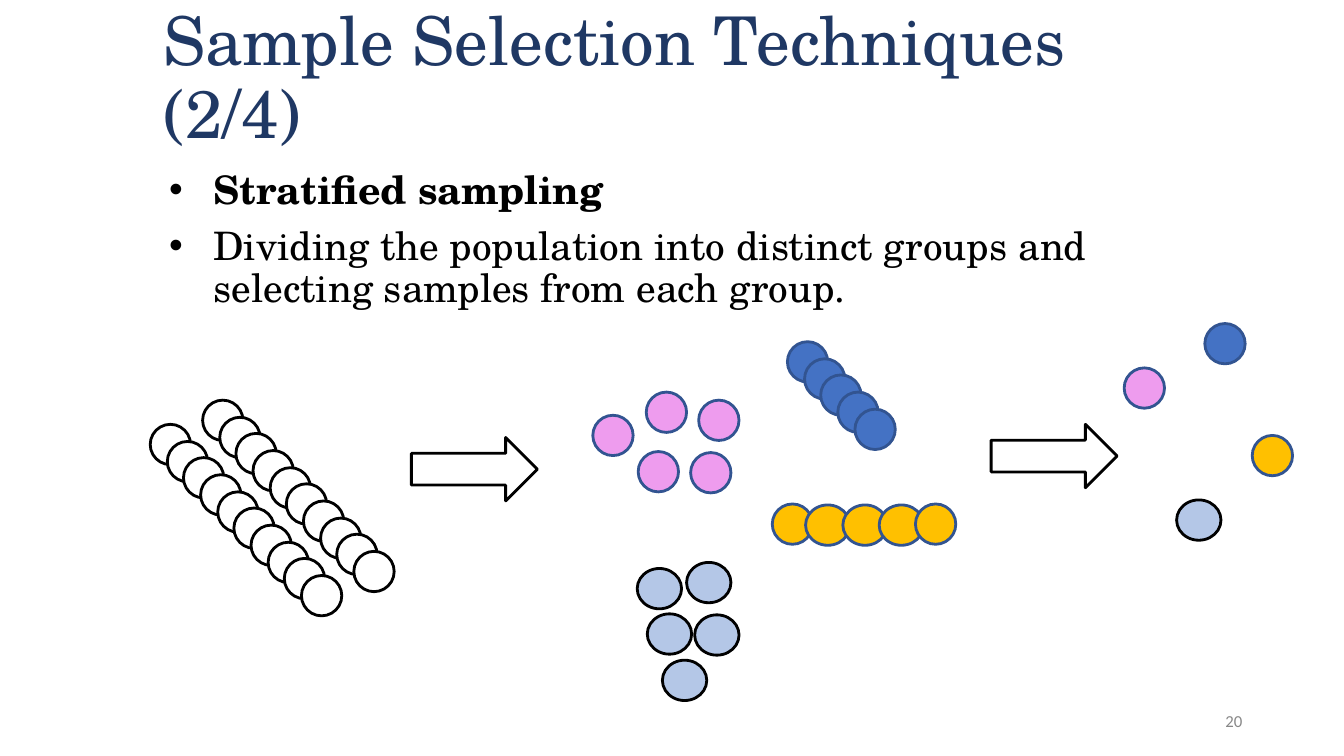
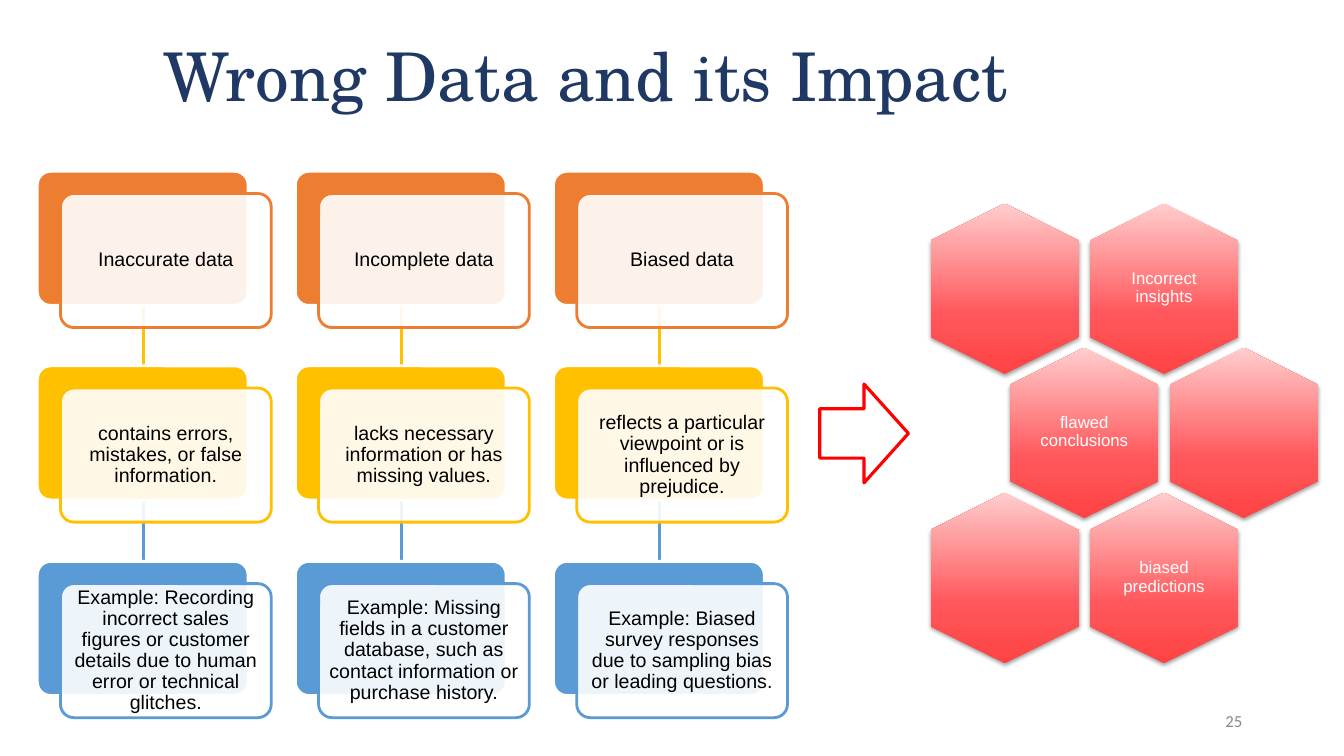
"""Build two lecture slides: stratified sampling and the impact of wrong data."""
from lxml.etree import SubElement
from pptx import Presentation
from pptx.dml.color import RGBColor
from pptx.enum.shapes import MSO_CONNECTOR, MSO_SHAPE
from pptx.enum.text import MSO_ANCHOR, PP_ALIGN
from pptx.oxml import parse_xml
from pptx.oxml.ns import nsdecls, qn
from pptx.util import Pt

PX = 9144
SERIF, SANS, NUMBER_FONT = "TeX Gyre Schola", "Arial", "Calibri"
NAVY = RGBColor(0x1F, 0x38, 0x64)
BLACK = RGBColor(0x00, 0x00, 0x00)
WHITE = RGBColor(0xFF, 0xFF, 0xFF)
GREY = RGBColor(0x88, 0x88, 0x88)
PINK = RGBColor(0xEE, 0x9C, 0xEE)
BLUE = RGBColor(0x44, 0x72, 0xC4)
OUTLINE = RGBColor(0x32, 0x54, 0x91)
PALE_BLUE = RGBColor(0xB4, 0xC7, 0xE7)
GOLD = RGBColor(0xFF, 0xC0, 0x00)
ORANGE = RGBColor(0xED, 0x7D, 0x31)
SKY = RGBColor(0x5B, 0x9B, 0xD5)
RED = RGBColor(0xFF, 0x00, 0x00)

HEXAGON_FILL = f"""<a:gradFill {nsdecls("a")} rotWithShape="0"><a:gsLst>
<a:gs pos="0"><a:srgbClr val="FF4343"/></a:gs>
<a:gs pos="35000"><a:srgbClr val="FF575B"/></a:gs>
<a:gs pos="100000"><a:srgbClr val="FFCDCD"/></a:gs>
</a:gsLst><a:lin ang="16200000" scaled="1"/></a:gradFill>"""
HEXAGON_SHADOW = f"""<a:outerShdw {nsdecls("a")} blurRad="40000" dist="20000" dir="5400000"
rotWithShape="0"><a:srgbClr val="000000"><a:alpha val="38000"/></a:srgbClr></a:outerShdw>"""


def draw(slide, kind, box, fill, line, weight=2):
    shape = slide.shapes.add_shape(kind, *(length * PX for length in box))
    shape.shadow.inherit = False
    if fill is None:
        shape.fill.background()
    else:
        shape.fill.solid()
        shape.fill.fore_color.rgb = fill
    if line is None:
        shape.line.fill.background()
    else:
        shape.line.color.rgb = line
        shape.line.width = Pt(weight)
    return shape


def write(holder, text, font, size, color, align=PP_ALIGN.LEFT, spacing=0.9, inset=None):
    frame = holder.text_frame
    frame.word_wrap = True
    frame.vertical_anchor = MSO_ANCHOR.MIDDLE
    if inset is not None:
        frame.margin_left = frame.margin_right = inset * PX
        frame.margin_top = frame.margin_bottom = inset * PX
    paragraph = frame.paragraphs[0]
    paragraph.text = text
    paragraph.alignment = align
    paragraph.line_spacing = spacing
    paragraph.font.name = font
    paragraph.font.size = Pt(size)
    paragraph.font.color.rgb = color


presentation = Presentation()
presentation.slide_width = 1333 * PX
presentation.slide_height = 750 * PX

pages = []
for title, number in [("Sample Selection Techniques (2/4)", "20"),
                      ("Wrong Data and its Impact", "25")]:
    page = presentation.slides.add_slide(presentation.slide_layouts[6])
    heading = page.shapes.add_textbox(152 * PX, 7 * PX, 1017 * PX, 145 * PX)
    write(heading, title, SERIF, 48, NAVY)
    page_number = page.shapes.add_textbox(942 * PX, 695 * PX, 300 * PX, 40 * PX)
    write(page_number, number, NUMBER_FONT, 12, GREY, PP_ALIGN.RIGHT, 1.0)
    pages.append(page)
sampling, impact = pages

definition = sampling.shapes.add_textbox(152 * PX, 164 * PX, 1017 * PX, 165 * PX).text_frame
definition.word_wrap = True
points = ["Stratified sampling",
          "Dividing the population into distinct groups and selecting samples from each group."]
for index, point in enumerate(points):
    paragraph = definition.add_paragraph() if index else definition.paragraphs[0]
    paragraph.text = point
    properties = paragraph._p.get_or_add_pPr()
    properties.set("marL", str(50 * PX))
    properties.set("indent", str(-44 * PX))
    SubElement(properties, qn("a:buFont"), typeface=SANS)
    SubElement(properties, qn("a:buChar"), char="•")
    paragraph.line_spacing = 0.9
    if index:
        paragraph.space_before = Pt(10)
    paragraph.font.name = SERIF
    paragraph.font.size = Pt(28)
    paragraph.font.bold = index == 0
    paragraph.font.color.rgb = BLACK

steps = [round(index * 50 / 3) for index in range(10)]
population = [(left + step, top + step) for left, top in [(201, 397), (149, 421)]
              for step in steps]
pink_group = [(641, 389), (693, 397), (588, 412), (633, 448), (685, 449)]
blue_group = [(781 + step, 339 + step) for step in steps[:5]]
pale_group = [(657, 655), (689, 610), (642, 609), (681, 558), (632, 564)]
gold_group = [(799, 501), (836, 501), (872, 501)]
groups = [
    (population, 40, WHITE, BLACK),
    (pink_group + [(1115, 365)], 40, PINK, OUTLINE),
    (blue_group + [(1195, 321)], 40, BLUE, OUTLINE),
    (pale_group + [(1167, 496)], 44, PALE_BLUE, BLACK),
    ([(766, 500)], 40, GOLD, OUTLINE),
    (gold_group, 44, GOLD, OUTLINE),
    ([(908, 500), (1242, 432)], 40, GOLD, OUTLINE),
]
for members, width, fill, line in groups:
    for left, top in members:
        draw(sampling, MSO_SHAPE.OVAL, (left, top, width, 40), fill, line)
for left, top in [(408, 434), (983, 421)]:
    draw(sampling, MSO_SHAPE.RIGHT_ARROW, (left, top, 125, 63), None, BLACK)

problems = [
    ("Inaccurate data", "contains errors, mistakes, or false information.",
     "Example: Recording incorrect sales figures or customer details due to human error "
     "or technical glitches."),
    ("Incomplete data", "lacks necessary information or has missing values.",
     "Example: Missing fields in a customer database, such as contact information or "
     "purchase history."),
    ("Biased data", "reflects a particular viewpoint or is influenced by prejudice.",
     "Example: Biased survey responses due to sampling bias or leading questions."),
]
row_colors = [ORANGE, GOLD, SKY]
row_tops = [170 + row * 387 // 2 for row in range(3)]
for column, texts in enumerate(problems):
    left = 37 + 256 * column
    for top, color in zip(row_tops[1:], row_colors[1:]):
        link = impact.shapes.add_connector(MSO_CONNECTOR.STRAIGHT, (left + 105) * PX,
                                           (top - 61) * PX, (left + 105) * PX, top * PX)
        link.line.color.rgb = color
        link.line.width = Pt(2)
        SubElement(link._element.spPr, qn("a:effectLst"))
    for top, color, text in zip(row_tops, row_colors, texts):
        backing = draw(impact, MSO_SHAPE.ROUNDED_RECTANGLE, (left, top, 209, 133), color, WHITE)
        card = draw(impact, MSO_SHAPE.ROUNDED_RECTANGLE, (left + 23, top + 22, 209, 133),
                    WHITE, color)
        backing.adjustments[0] = card.adjustments[0] = 0.1
        card_color = card._element.spPr.find(qn("a:solidFill"))[0]
        SubElement(card_color, qn("a:alpha"), val="90000")
        write(card, text, SANS, 14, BLACK, PP_ALIGN.CENTER, inset=6)

draw(impact, MSO_SHAPE.RIGHT_ARROW, (813, 381, 88, 98), WHITE, RED, 2.25)

consequences = [("", "Incorrect insights"), ("flawed conclusions", ""), ("", "biased predictions")]
for row, pair in enumerate(consequences):
    top = 213 + row * 287 // 2
    for column, text in enumerate(pair):
        left = 912 + 79 * (row % 2) + 158 * column
        hexagon = draw(impact, MSO_SHAPE.HEXAGON, (left, top, 169, 147), RED, None)
        hexagon.rotation = 90
        outline = hexagon._element.spPr
        outline.replace(outline.find(qn("a:solidFill")), parse_xml(HEXAGON_FILL))
        outline.find(qn("a:effectLst")).append(parse_xml(HEXAGON_SHADOW))
        if text:
            label = impact.shapes.add_textbox((left + 34) * PX, (top + 15) * PX,
                                              101 * PX, 116 * PX)
            write(label, text, SANS, 12, WHITE, PP_ALIGN.CENTER, inset=5)

presentation.save("out.pptx")
